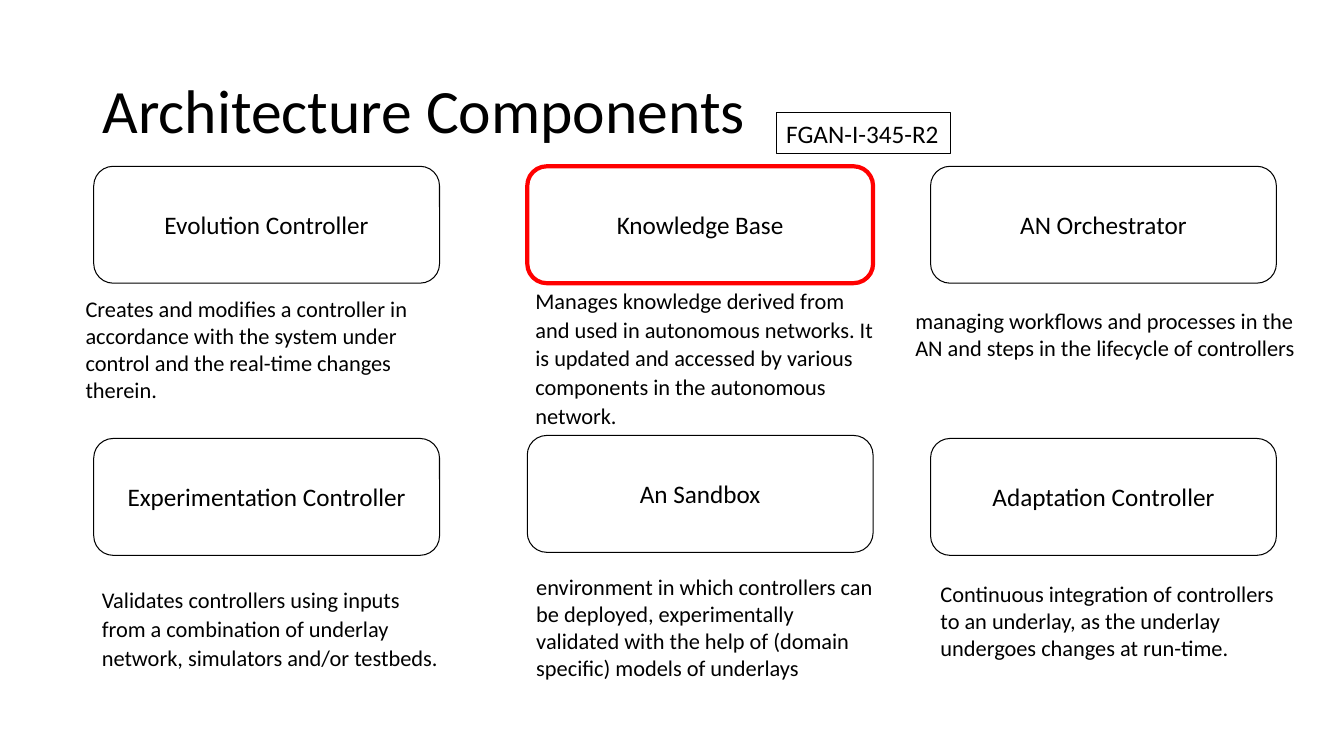
from pptx import Presentation
from pptx.dml.color import RGBColor
from pptx.enum import shapes, text
from pptx.util import Inches, Pt

COLORS = {"ink": "000000", "mark": "FF0000"}
FONT = "Calibri"
LEFTS = (0.93, 5.23, 9.23)
CARD = (3.43, 1.16)
INDENT = 0.5

# Per card: column, top, name, line colour, line width, note box, indented, note
CARDS = [
    (0, 1.65, "Evolution Controller", "ink", 0.75, (0.75, 2.88, 3.61, 1.18), False,
     "Creates and modifies a controller in accordance with the system under "
     "control and the real-time changes therein."),
    (1, 1.65, "Knowledge Base", "mark", 3, (4.71, 2.78, 4.12, 1.53), True,
     "Manages knowledge derived from and used in autonomous networks. It is "
     "updated and accessed by various components in the autonomous network."),
    (2, 1.65, "AN Orchestrator", "ink", 0.75, (8.98, 3, 4.04, 0.64), False,
     "managing workflows and processes in the AN and steps in the lifecycle "
     "of controllers"),
    (0, 4.35, "Experimentation Controller", "ink", 0.75, (0.41, 5.75, 4.08, 0.95), True,
     "Validates controllers using inputs from a combination of underlay "
     "network, simulators and/or testbeds."),
    (1, 4.32, "An Sandbox", "ink", 0.75, (5.22, 5.64, 3.58, 1.18), False,
     "environment in which controllers can be deployed, experimentally "
     "validated with the help of (domain specific) models of underlays"),
    (2, 4.35, "Adaptation Controller", "ink", 0.75, (9.23, 5.71, 3.56, 0.91), False,
     "Continuous integration of controllers to an underlay, as the underlay "
     "undergoes changes at run-time."),
]


def assign(obj, values):
    for name, value in values.items():
        setattr(obj, name, value)


def write(shape, words, size, frame=None, para=None):
    """Put one styled paragraph into a shape."""
    body = shape.text_frame
    assign(body, {"word_wrap": True, "vertical_anchor": text.MSO_ANCHOR.TOP,
                  **(frame or {})})
    line = body.paragraphs[0]
    line.text = words
    assign(line, {"alignment": text.PP_ALIGN.LEFT, **(para or {})})
    assign(line.font, {"name": FONT, "size": Pt(size)})
    line.font.color.rgb = RGBColor.from_string(COLORS["ink"])


def add_label(slide, box, words, size, frame=None, para=None):
    shape = slide.shapes.add_textbox(*map(Inches, box))
    write(shape, words, size, frame, para)


def add_frame(slide, kind, box, color, width):
    """Add an unfilled outline shape."""
    shape = slide.shapes.add_shape(kind, *map(Inches, box))
    shape.shadow.inherit = False
    shape.fill.background()
    shape.line.color.rgb = RGBColor.from_string(COLORS[color])
    shape.line.width = Pt(width)
    return shape


def add_head(slide, box):
    """Add the title and the document tag beside it."""
    left, top, width, height = box
    add_label(slide, box, "Architecture Components", 44,
              {"vertical_anchor": text.MSO_ANCHOR.MIDDLE}, {"line_spacing": 0.9})
    tag = add_frame(slide, shapes.MSO_SHAPE.RECTANGLE,
                    (left + 6.78, top + 0.72, 1.73, 0.4), "ink", 0.75)
    write(tag, "FGAN-I-345-R2", 18, {"word_wrap": False})


def add_card(slide, box, name, color, width):
    card = add_frame(slide, shapes.MSO_SHAPE.ROUNDED_RECTANGLE, box, color, width)
    write(card, name, 18, {"vertical_anchor": text.MSO_ANCHOR.MIDDLE},
          {"alignment": text.PP_ALIGN.CENTER})


def add_note(slide, box, words, indented):
    frame, para = {}, {}
    if indented:
        frame = {"margin_left": Inches(0.1 + INDENT)}
        para = {"line_spacing": 1.07}
    add_label(slide, box, words, 16, frame, para)


def main():
    deck = Presentation()
    assign(deck, {"slide_width": Inches(13.33), "slide_height": Inches(7.5)})
    slide = deck.slides.add_slide(deck.slide_layouts[6])
    add_head(slide, (0.92, 0.4, 11.5, 1.45))
    for col, top, name, color, width, box, indented, note in CARDS:
        add_card(slide, (LEFTS[col], top, *CARD), name, color, width)
        add_note(slide, box, note, indented)
    deck.save("out.pptx")


if __name__ == "__main__":
    main()
